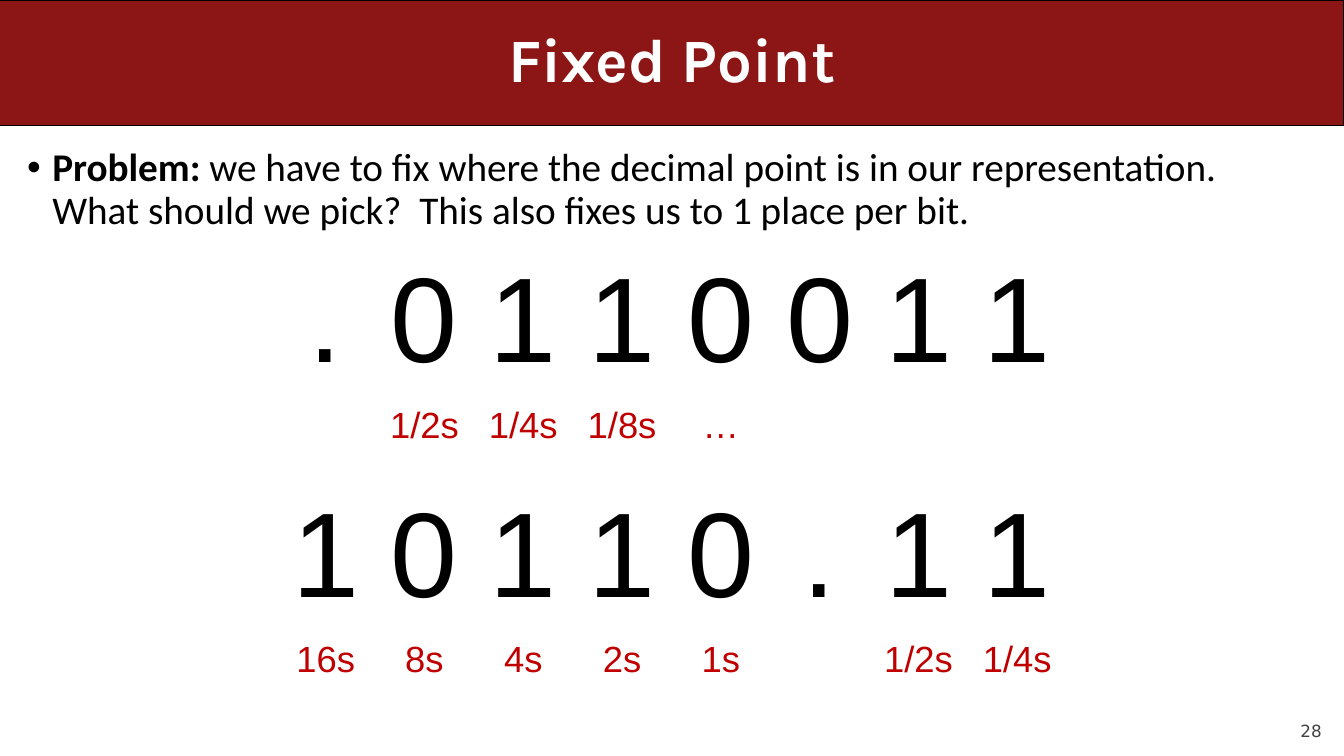
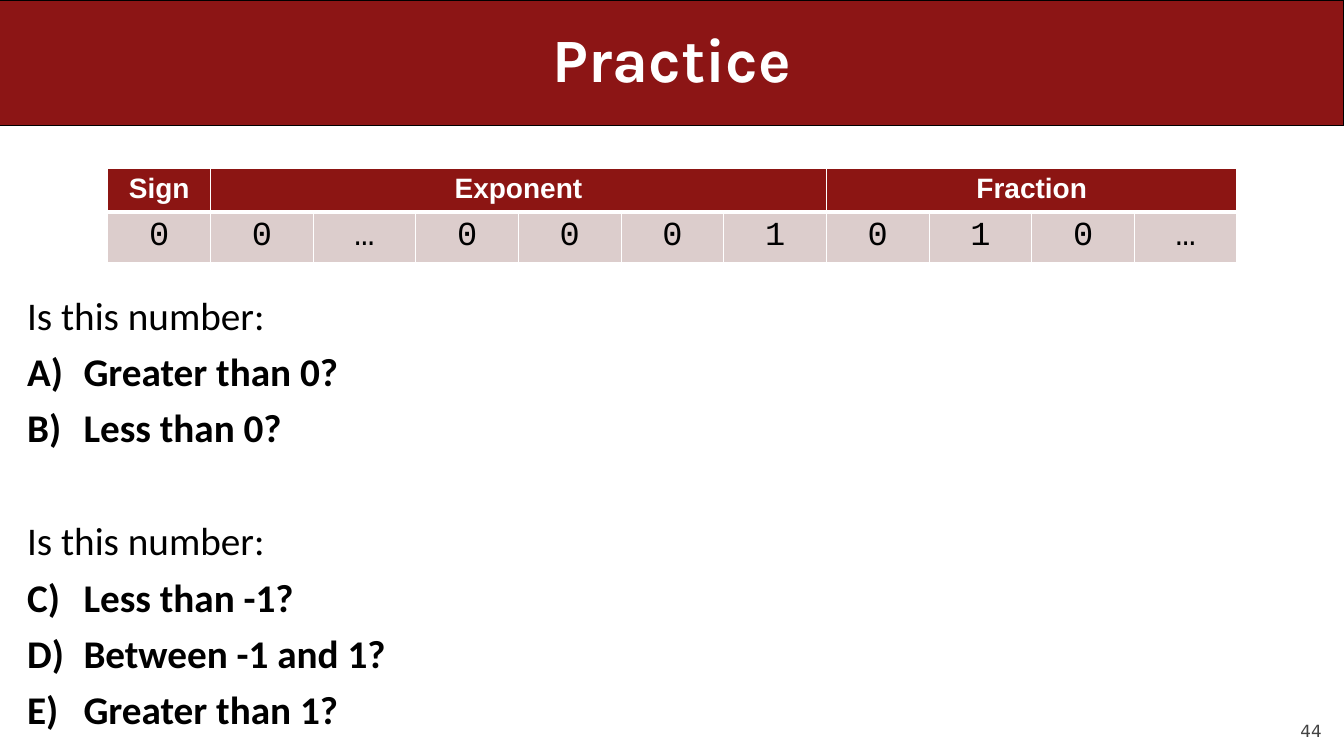
import pptx
import pptx.util
import pptx.dml.color
import pptx.enum.shapes
import pptx.enum.text
import pptx.oxml.ns
from dataclasses import dataclass
from lxml import etree

Inches, Pt = pptx.util.Inches, pptx.util.Pt
RGB = pptx.dml.color.RGBColor.from_string
ALIGN = pptx.enum.text.PP_ALIGN
ANCHOR = pptx.enum.text.MSO_ANCHOR
qn = pptx.oxml.ns.qn


# Theme
@dataclass(frozen=True)
class Theme:
    band: str = "8C1515"
    header: str = "8C1513"
    cell: str = "DCCDCC"
    white: str = "FFFFFF"
    ink: str = "000000"
    accent: str = "C00000"
    muted: str = "424242"
    title_font: str = "Karla"
    body_font: str = "Calibri"
    table_font: str = "Arial"
    code_font: str = "Courier New"
    number_font: str = "DejaVu Sans"
    title_size: int = 44
    body_size: int = 28
    digit_size: int = 86
    place_size: int = 26
    header_size: int = 20
    code_size: int = 24
    number_size: int = 12


T = Theme()
SLIDE_W, SLIDE_H = 13.33, 7.5
BAND_H = 1.25

# Content
PROBLEM = [
    ("Problem: ", True),
    ("we have to fix where the decimal point is in our representation. "
     "What should we pick?  This also fixes us to 1 place per bit.", False),
]
FIXED_POINT = [  # top, digits, place values
    (2.42, ".0110011", ["", "1/2s", "1/4s", "1/8s", "…", "", "", ""]),
    (4.75, "10110.11", ["16s", "8s", "4s", "2s", "1s", "", "1/2s", "1/4s"]),
]
FIELDS = [("Sign", "0"), ("Exponent", "0…0001"), ("Fraction", "010…")]
QUESTION = "Is this number:"
CHOICES = [
    ["Greater than 0?", "Less than 0?"],
    ["Less than -1?", "Between -1 and 1?", "Greater than 1?"],
]


# Text helpers
def write(p, text, size=T.body_size, font=T.body_font, color=T.ink, bold=False,
          align=ALIGN.LEFT, line=None, before=None):
    """Add one formatted run to a paragraph."""
    p.alignment = align
    if line:
        p.line_spacing = line
    if before is not None:
        p.space_before = Pt(before)
    r = p.add_run()
    r.text = text
    r.font.size, r.font.name, r.font.bold = Pt(size), font, bold
    r.font.color.rgb = RGB(color)


def set_bullet(p, indent, tag, **attrs):
    """Give a paragraph a hanging indent and a bullet or number."""
    pPr = p._p.get_or_add_pPr()
    pPr.set("marL", str(Inches(indent)))
    pPr.set("indent", str(-Inches(indent)))
    etree.SubElement(pPr, qn("a:buFont"), typeface="Arial" if tag == "a:buChar" else "+mj-lt")
    etree.SubElement(pPr, qn(tag), **attrs)


def add_box(s, x, y, w, h, anchor=ANCHOR.TOP, inset=None):
    tf = s.shapes.add_textbox(Inches(x), Inches(y), Inches(w), Inches(h)).text_frame
    tf.word_wrap = True
    tf.vertical_anchor = anchor
    if inset is not None:
        tf.margin_left = tf.margin_right = tf.margin_top = tf.margin_bottom = Inches(inset)
    return tf


# Table helpers
def add_grid(s, x, y, col_w, n_cols, row_heights):
    table = s.shapes.add_table(len(row_heights), n_cols, Inches(x), Inches(y),
                               Inches(col_w * n_cols), Inches(sum(row_heights))).table
    table.first_row = table.horz_banding = False
    for col in table.columns:
        col.width = Inches(col_w)
    for row, h in zip(table.rows, row_heights):
        row.height = Inches(h)
    return table


def set_borders(cell, color, **widths):
    tcPr = cell._tc.get_or_add_tcPr()
    for side in "LRTB":
        ln = etree.SubElement(tcPr, qn("a:ln" + side), w=str(Pt(widths.get(side, 1))))
        fill = etree.SubElement(ln, qn("a:solidFill"))
        etree.SubElement(fill, qn("a:srgbClr"), val=color)


# Shared slide frame
def add_slide(prs, title, number):
    s = prs.slides.add_slide(prs.slide_layouts[6])
    tf = add_box(s, 12, 6.95, 1.11, 0.4, ANCHOR.BOTTOM, 0)
    write(tf.paragraphs[0], str(number), size=T.number_size, font=T.number_font,
          color=T.muted, align=ALIGN.RIGHT, before=5)
    band = s.shapes.add_shape(pptx.enum.shapes.MSO_SHAPE.RECTANGLE, 0, 0,
                              Inches(SLIDE_W), Inches(BAND_H))
    band.shadow.inherit = False
    band.fill.solid()
    band.fill.fore_color.rgb = RGB(T.band)
    band.line.color.rgb = RGB(T.ink)
    band.line.width = Pt(0.75)
    tf = add_box(s, 0.5, 0, SLIDE_W - 1, BAND_H, ANCHOR.MIDDLE)
    write(tf.paragraphs[0], title, size=T.title_size, font=T.title_font,
          color=T.white, bold=True, align=ALIGN.CENTER, line=0.9)
    return s


# Slides
def fixed_point_slide(prs):
    s = add_slide(prs, "Fixed Point", 28)
    p = add_box(s, 0.17, 1.42, 12.92, 1).paragraphs[0]
    for text, bold in PROBLEM:
        write(p, text, bold=bold, line=0.9, before=10)
    set_bullet(p, 0.25, "a:buChar", char="•")

    styles = [(T.digit_size, T.ink), (T.place_size, T.accent)]
    for top, digits, places in FIXED_POINT:
        table = add_grid(s, 2.74, top, 0.98, len(digits), [1.47, 0.52])
        for row, texts in enumerate([digits, places]):
            size, color = styles[row]
            for col, text in enumerate(texts):
                cell = table.cell(row, col)
                cell.fill.background()
                cell.vertical_anchor = ANCHOR.MIDDLE
                if text:
                    write(cell.text_frame.paragraphs[0], text, size=size,
                          font=T.table_font, color=color, align=ALIGN.CENTER)


def practice_slide(prs):
    s = add_slide(prs, "Practice", 44)

    # Bit fields
    bits = "".join(b for _, b in FIELDS)
    table = add_grid(s, 1.07, 1.67, 11.2 / len(bits), len(bits), [0.41, 0.48])
    for col, bit in enumerate(bits):
        head, body = table.cell(0, col), table.cell(1, col)
        set_borders(head, T.white, B=3)
        set_borders(body, T.white, T=3)
        for cell, color in [(head, T.header), (body, T.cell)]:
            cell.fill.solid()
            cell.fill.fore_color.rgb = RGB(color)
        write(body.text_frame.paragraphs[0], bit, size=T.code_size,
              font=T.code_font, align=ALIGN.CENTER)
    start = 0
    for name, field in FIELDS:
        head, end = table.cell(0, start), start + len(field)
        if len(field) > 1:
            head.merge(table.cell(0, end - 1))
        write(head.text_frame.paragraphs[0], name, size=T.header_size,
              font=T.table_font, color=T.white, bold=True, align=ALIGN.CENTER)
        start = end

    # Questions, lettered on from one group to the next
    tf = add_box(s, 0.17, 2.89, 12.92, 4.44)
    letter = 1
    for group in CHOICES:
        first = letter == 1
        p = tf.paragraphs[0] if first else tf.add_paragraph()
        write(p, QUESTION, line=0.9, before=10 if first else 50.5)
        for choice in group:
            p = tf.add_paragraph()
            write(p, choice, bold=True, line=0.9, before=10)
            set_bullet(p, 0.56, "a:buAutoNum", type="alphaUcParenR", startAt=str(letter))
        letter += len(group)


def main():
    prs = pptx.Presentation()
    prs.slide_width, prs.slide_height = Inches(SLIDE_W), Inches(SLIDE_H)
    fixed_point_slide(prs)
    practice_slide(prs)
    prs.save("out.pptx")


if __name__ == "__main__":
    main()
